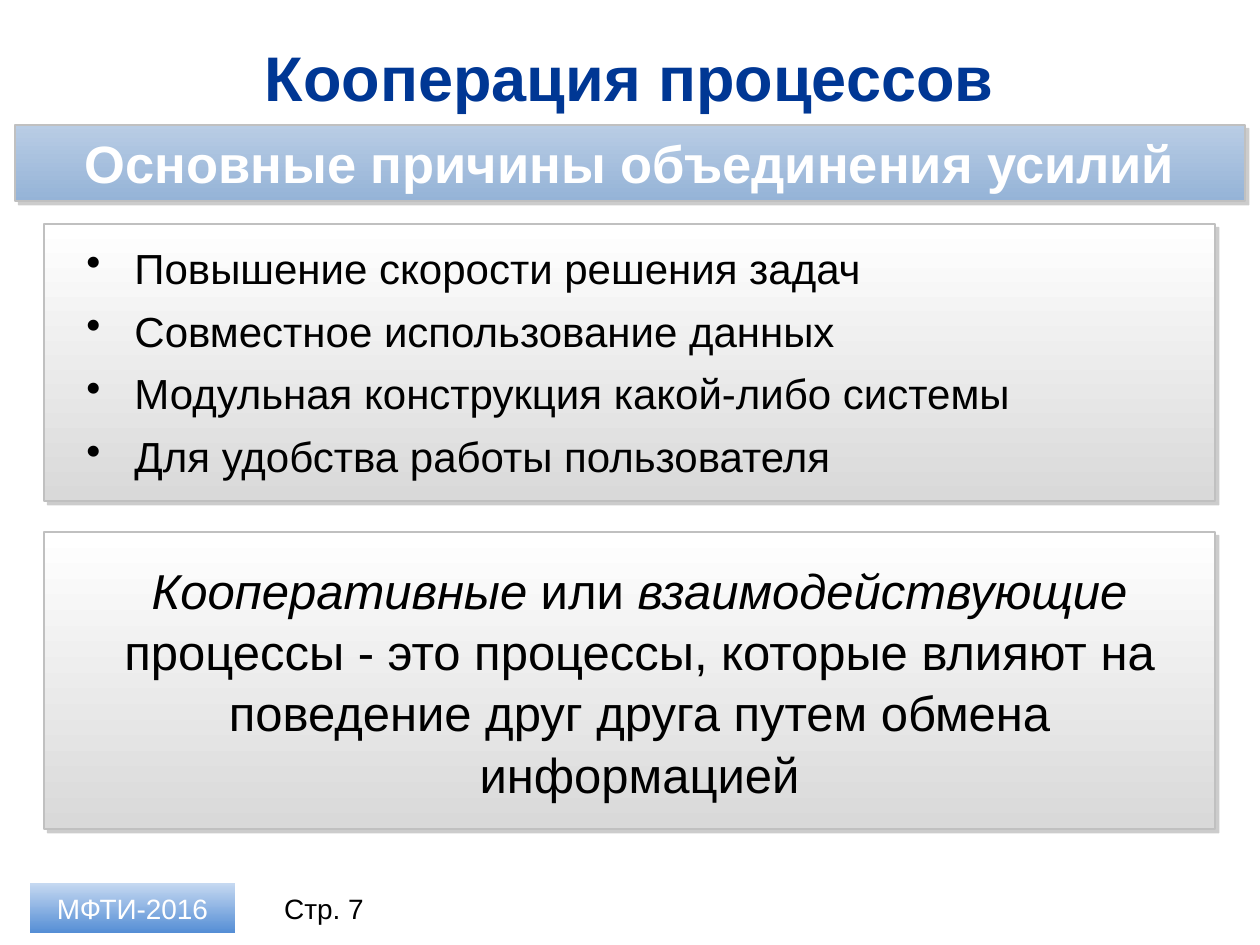
"""Build the slide on cooperating processes."""
import pptx
import pptx.dml.color
import pptx.enum.shapes
import pptx.enum.text
import pptx.oxml
import pptx.util

COLORS = {
    "title": "003794", "black": "000000", "white": "FFFFFF", "border": "C0C0C0",
    "shadow": "808080", "panel": "D9D9D9", "banner_top": "B9CDE5",
    "banner_bottom": "95B3D7", "badge_top": "C6D9F1", "badge_bottom": "558ED5",
}
TITLE = "Кооперация процессов"
BANNER = "Основные причины объединения усилий"
BADGE = "МФТИ-2016"
PAGE = "Стр. 7"
REASONS = [
    "Повышение скорости решения задач",
    "Совместное использование данных",
    "Модульная конструкция какой-либо системы",
    "Для удобства работы пользователя",
]
DEFINITION = [
    ("Кооперативные", True),
    (" или ", False),
    ("взаимодействующие", True),
    (" процессы - это процессы, которые влияют на поведение друг друга "
     "путем обмена информацией", False),
]

EMU_PER_PX = 914400 / 126
PANEL_LEFT, PANEL_WIDTH, TEXT_LEFT = 44, 1171, 74
FOOTER_TOP, FOOTER_HEIGHT = 883, 50
BULLET_INDENT = 48
LINE_SPACING = 1.04
NAMESPACE = 'xmlns:a="http://schemas.openxmlformats.org/drawingml/2006/main"'
CENTER = pptx.enum.text.PP_ALIGN.CENTER
LEFT = pptx.enum.text.PP_ALIGN.LEFT


def px(length):
    return pptx.util.Emu(round(length * EMU_PER_PX))


def rgb(name):
    return pptx.dml.color.RGBColor.from_string(COLORS[name])


def style(paragraph, size, color, bold=False, align=CENTER):
    paragraph.alignment = align
    font = paragraph.font
    font.name, font.size, font.bold = "Arial", pptx.util.Pt(size), bold
    font.color.rgb = rgb(color)


def write_line(shape, text, size, color, bold=False):
    frame = shape.text_frame
    frame.word_wrap = True
    frame.vertical_anchor = pptx.enum.text.MSO_ANCHOR.MIDDLE
    frame.text = text
    style(frame.paragraphs[0], size, color, bold)


def add_text_box(slide, *box):
    shape = slide.shapes.add_textbox(*map(px, box))
    shape.text_frame.word_wrap = True
    return shape


def add_gradient_box(slide, box, top_color, bottom_color, raised=True):
    kind = pptx.enum.shapes.MSO_SHAPE.RECTANGLE
    shape = slide.shapes.add_shape(kind, *map(px, box))
    shape.shadow.inherit = False
    shape.fill.gradient()
    shape.fill.gradient_angle = 270
    for stop, color, position in zip(
            shape.fill.gradient_stops, (top_color, bottom_color), (0, 1)):
        stop.color.rgb = rgb(color)
        stop.position = position
    if raised:
        shape.line.color.rgb = rgb("border")
        shape.line.width = pptx.util.Pt(1)
        effects = shape._element.spPr.find(pptx.oxml.ns.qn("a:effectLst"))
        effects.append(pptx.oxml.parse_xml(
            f'<a:outerShdw {NAMESPACE} dist="{pptx.util.Pt(3)}" dir="2700000" '
            f'algn="tl" rotWithShape="0"><a:srgbClr val="{COLORS["shadow"]}">'
            '<a:alpha val="40000"/></a:srgbClr></a:outerShdw>'))
    else:
        shape.line.fill.background()
    return shape


def add_reasons(slide):
    frame = add_text_box(slide, TEXT_LEFT, 234, 1101, 248).text_frame
    for index, reason in enumerate(REASONS):
        paragraph = frame.add_paragraph() if index else frame.paragraphs[0]
        paragraph.text = reason
        style(paragraph, 24, "black", align=LEFT)
        paragraph.line_spacing = LINE_SPACING
        paragraph.space_before = pptx.util.Pt(6 if index else 0)
        properties = paragraph._p.get_or_add_pPr()
        properties.set("marL", str(px(BULLET_INDENT)))
        properties.set("indent", str(-px(BULLET_INDENT)))
        bullet = pptx.oxml.parse_xml(f'<a:buChar {NAMESPACE} char="•"/>')
        properties.find(pptx.oxml.ns.qn("a:defRPr")).addprevious(bullet)


def add_definition(slide):
    frame = add_text_box(slide, TEXT_LEFT, 552, 1131, 251).text_frame
    paragraph = frame.paragraphs[0]
    style(paragraph, 28, "black")
    paragraph.line_spacing = LINE_SPACING
    for text, italic in DEFINITION:
        run = paragraph.add_run()
        run.text = text
        run.font.italic = italic


def main():
    presentation = pptx.Presentation()
    presentation.slide_width, presentation.slide_height = px(1260), px(945)
    slide = presentation.slides.add_slide(presentation.slide_layouts[6])

    title = add_text_box(slide, PANEL_LEFT, 33, PANEL_WIDTH, 86)
    write_line(title, TITLE, 36, "title", bold=True)
    page = add_text_box(slide, 256, FOOTER_TOP, 136, FOOTER_HEIGHT)
    write_line(page, PAGE, 16, "black")
    badge = add_gradient_box(slide, (30, FOOTER_TOP, 205, FOOTER_HEIGHT),
                             "badge_top", "badge_bottom", raised=False)
    write_line(badge, BADGE, 16, "white")
    banner = add_gradient_box(slide, (15, 125, 1230, 76),
                              "banner_top", "banner_bottom")
    write_line(banner, BANNER, 30, "white", bold=True)

    for top, height, add_content in [(224, 277, add_reasons),
                                     (532, 297, add_definition)]:
        box = (PANEL_LEFT, top, PANEL_WIDTH, height)
        add_gradient_box(slide, box, "white", "panel")
        add_content(slide)
    presentation.save("out.pptx")


if __name__ == "__main__":
    main()
